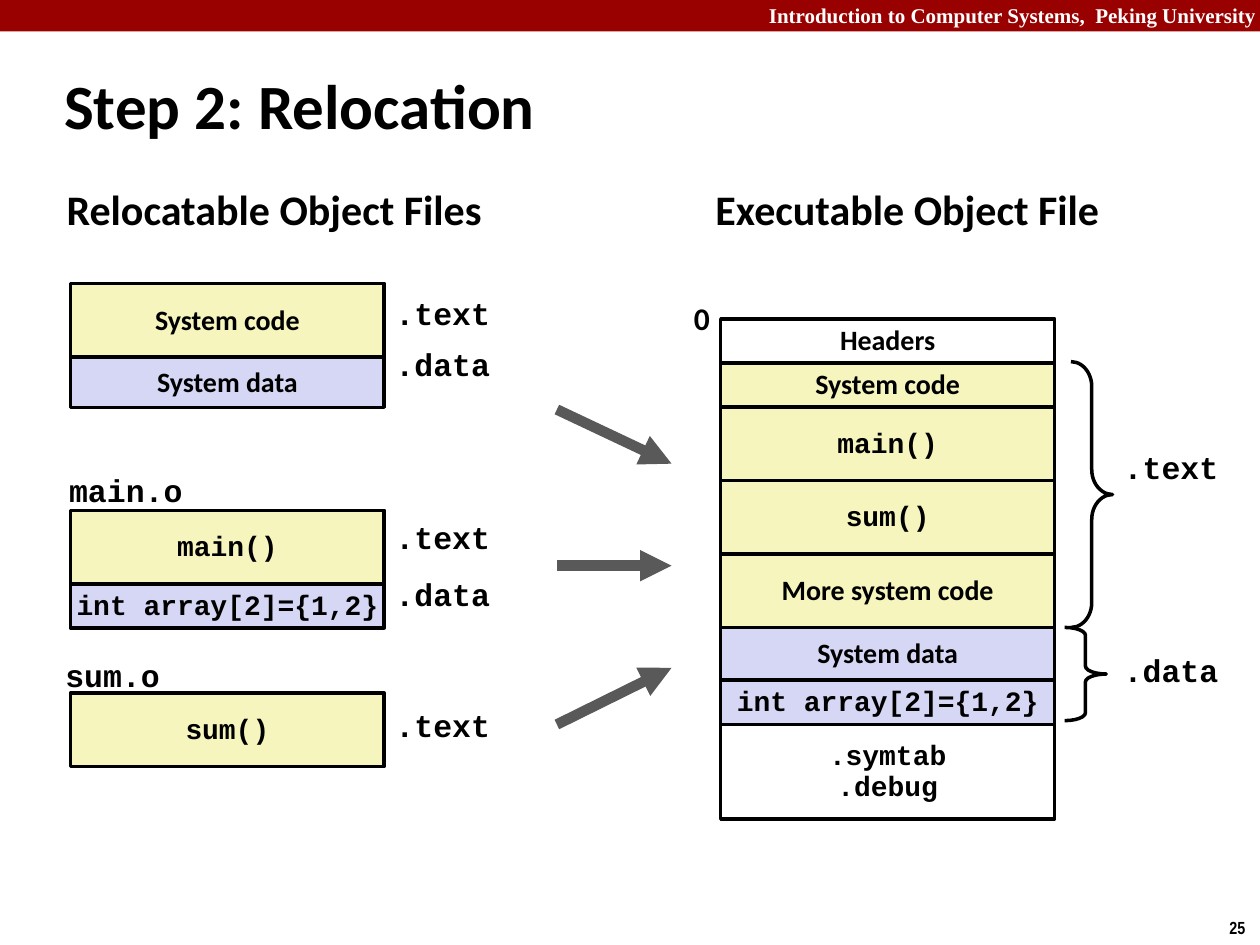
"""Build the slide on relocating object files into one executable."""
from pptx import Presentation
from pptx.dml.color import RGBColor
from pptx.enum.shapes import MSO_CONNECTOR, MSO_SHAPE
from pptx.enum.text import MSO_ANCHOR, MSO_AUTO_SIZE, PP_ALIGN
from pptx.oxml.ns import qn
from pptx.util import Inches, Pt
from lxml.etree import SubElement

BLACK = RGBColor(0x00, 0x00, 0x00)
WHITE = RGBColor(0xFF, 0xFF, 0xFF)
RED = RGBColor(0x99, 0x00, 0x00)
GRAY = RGBColor(0x59, 0x59, 0x59)
CODE = RGBColor(0xF6, 0xF5, 0xBD)
DATA = RGBColor(0xD6, 0xD6, 0xF5)
SANS, MONO = "Calibri", "Courier New"

prs = Presentation()
prs.slide_width, prs.slide_height = Inches(10), Inches(7.5)
COL, ROW = prs.slide_width / 100, prs.slide_height / 75
s = prs.slides.add_slide(prs.slide_layouts[5])


def area(left, top, width, height):
    return int(left * COL), int(top * ROW), int(width * COL), int(height * ROW)


def write(sp, text, font=SANS, size=16, color=BLACK, align=PP_ALIGN.LEFT,
          anchor=MSO_ANCHOR.TOP, wrap=False, spacing=None):
    tf = sp.text_frame
    tf.word_wrap, tf.vertical_anchor = wrap, anchor
    tf.auto_size = MSO_AUTO_SIZE.NONE
    tf.text = text
    for p in tf.paragraphs:
        p.alignment = align
        p.line_spacing = spacing or (0.94 if font == MONO else 0.98)
        p.font.name, p.font.size, p.font.bold = font, Pt(size), True
        p.font.color.rgb = color


sp = s.shapes.add_shape(MSO_SHAPE.RECTANGLE, *area(0, 0, 100, 2.5))
sp.shadow.inherit = False
sp.fill.solid()
sp.fill.fore_color.rgb = RED
sp.line.fill.background()

title = s.shapes.title
title.left, title.top, title.width, title.height = area(4.1, 5.1, 83.1, 6.3)
write(title, "Step 2: Relocation", size=36, anchor=MSO_ANCHOR.MIDDLE, wrap=True, spacing=1.0)

sp = s.shapes.add_textbox(*area(60, -0.3, 40.7, 3))
write(sp, "Introduction to Computer Systems,  Peking University", font="Times New Roman",
      size=12, color=WHITE, align=PP_ALIGN.RIGHT, wrap=True, spacing=1.0)
sp = s.shapes.add_textbox(*area(96.6, 72.3, 3.4, 2.7))
write(sp, "25", font="Arial Narrow", size=10, spacing=1.0)

stacks = [
    (5.6, 22.5, 24.9, [("System code", SANS, CODE, 5.83), ("System data", SANS, DATA, 4)]),
    (5.6, 40.5, 24.9, [("main()", MONO, CODE, 5.83), ("int array[2]={1,2}", MONO, DATA, 3.5)]),
    (5.6, 55, 24.9, [("sum()", MONO, CODE, 5.83)]),
    (57.2, 25.3, 26.5, [
        ("Headers", SANS, WHITE, 3.5), ("System code", SANS, CODE, 3.5),
        ("main()", MONO, CODE, 5.83), ("sum()", MONO, CODE, 5.83),
        ("More system code", SANS, CODE, 5.83), ("System data", SANS, DATA, 4.2),
        ("int array[2]={1,2}", MONO, DATA, 3.5), (".symtab\n.debug", MONO, WHITE, 7.5)]),
]
for left, top, width, sections in stacks:
    for text, font, fill, height in sections:
        sp = s.shapes.add_shape(MSO_SHAPE.RECTANGLE, *area(left, top, width, height))
        sp.shadow.inherit = False
        sp.fill.solid()
        sp.fill.fore_color.rgb = fill
        sp.line.color.rgb, sp.line.width = BLACK, Pt(2)
        write(sp, text, font=font, align=PP_ALIGN.CENTER, anchor=MSO_ANCHOR.MIDDLE)
        top += height

labels = [
    ("Relocatable Object Files", 4.3, 14.3, 35.3, 5, SANS, 24),
    ("Executable Object File", 55.8, 14.3, 32.8, 5, SANS, 24),
    ("0", 54.1, 23.4, 3.4, 4, SANS, 18),
    ("main.o", 4.5, 37.1, 11, 3.9, MONO, 18),
    ("sum.o", 4.2, 51.8, 9.6, 3.9, MONO, 18),
]
for text, left, top in [(".text", 30.4, 23.1), (".data", 30.4, 27.1), (".text", 30.4, 40.9),
                        (".data", 30.4, 45.4), (".text", 30.4, 55.8),
                        (".text", 88.2, 35.3), (".data", 88.2, 51.4)]:
    labels.append((text, left, top, 9.5, 3.9, MONO, 18))
for text, left, top, width, height, font, size in labels:
    write(s.shapes.add_textbox(*area(left, top, width, height)), text, font=font, size=size)

for left, top, height, curve in [(85, 28.7, 21.1, 0.6), (84.5, 49.8, 7.4, 0.19)]:
    sp = s.shapes.add_shape(MSO_SHAPE.RIGHT_BRACE, *area(left, top, 3.3, height))
    sp.shadow.inherit = False
    sp.adjustments[0] = curve
    sp.fill.background()
    sp.line.color.rgb, sp.line.width = BLACK, Pt(2)

for start, end in [(32.5, 36.8), (44.9, 44.9), (57.5, 53)]:
    arrow = s.shapes.add_connector(MSO_CONNECTOR.STRAIGHT, int(44.2 * COL), int(start * ROW),
                                   int(53.3 * COL), int(end * ROW))
    arrow.line.color.rgb, arrow.line.width = GRAY, Pt(6)
    SubElement(arrow.line._get_or_add_ln(), qn("a:tailEnd"), type="triangle")
    SubElement(arrow._element.spPr, qn("a:effectLst"))

prs.save("out.pptx")
